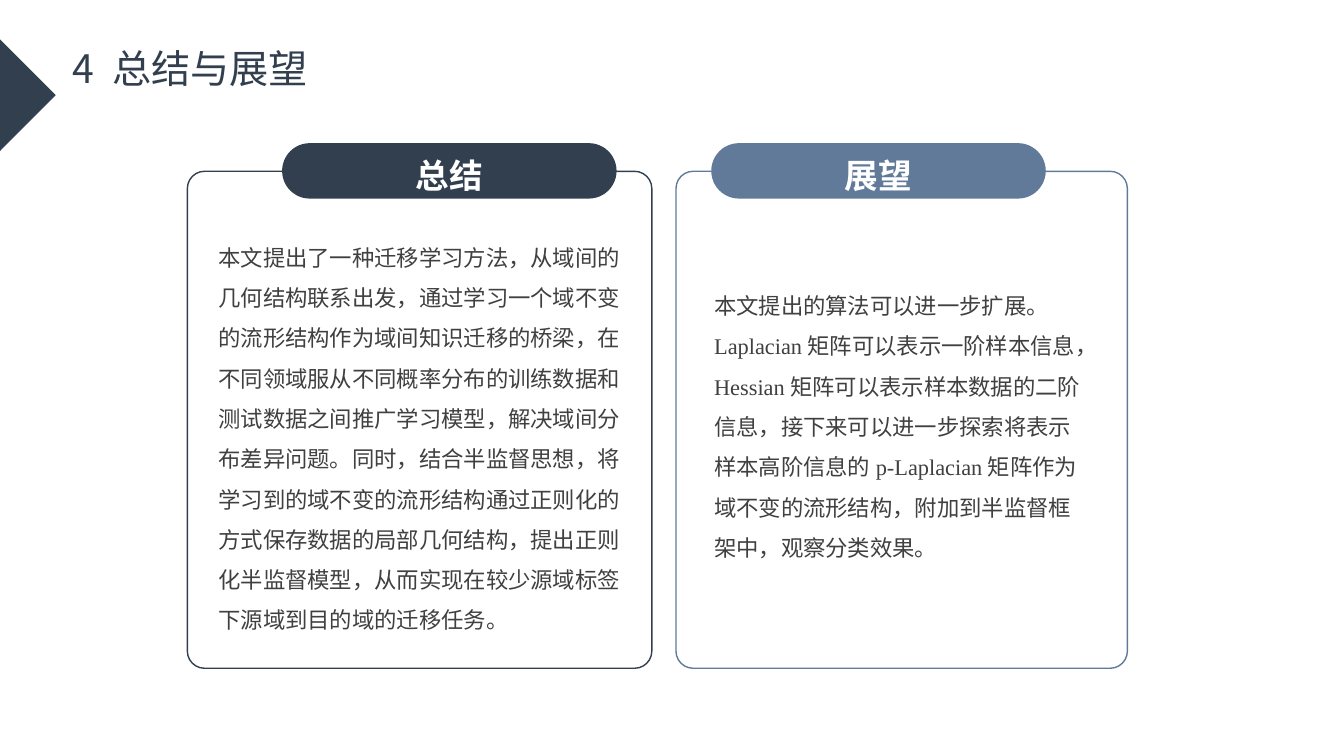
from lxml.etree import SubElement
from pptx import Presentation
from pptx.dml.color import RGBColor
from pptx.enum.shapes import MSO_SHAPE
from pptx.enum.text import MSO_ANCHOR, PP_ALIGN
from pptx.oxml.ns import qn
from pptx.util import Inches, Pt

NAVY = RGBColor(0x32, 0x3F, 0x4F)
STEEL = RGBColor(0x61, 0x7A, 0x99)
GREY = RGBColor(0x40, 0x40, 0x40)
WHITE = RGBColor(0xFF, 0xFF, 0xFF)
CJK_FONT = "Noto Sans CJK SC"

CARD_TOP, CARD_HEIGHT, CARD_RADIUS = 1.7, 4.93, 0.17
PILL_TOP, PILL_WIDTH, PILL_HEIGHT = 1.42, 3.32, 0.55

SUMMARY = (
    "本文提出了一种迁移学习方法，从域间的几何结构联系出发，通过学习一个域不变的流形结构"
    "作为域间知识迁移的桥梁，在不同领域服从不同概率分布的训练数据和测试数据之间推广学习模型，"
    "解决域间分布差异问题。同时，结合半监督思想，将学习到的域不变的流形结构通过正则化的方式"
    "保存数据的局部几何结构，提出正则化半监督模型，从而实现在较少源域标签下源域到目的域的迁移任务。"
)
OUTLOOK = (
    "本文提出的算法可以进一步扩展。Laplacian矩阵可以表示一阶样本信息，Hessian矩阵可以表示"
    "样本数据的二阶信息，接下来可以进一步探索将表示样本高阶信息的p-Laplacian矩阵作为域不变的"
    "流形结构，附加到半监督框架中，观察分类效果。"
)


def write_text(shape, text, font, size, color, bold=False, spacing=1.0,
               align=PP_ALIGN.LEFT, anchor=MSO_ANCHOR.MIDDLE):
    """Write one wrapped paragraph with Latin and East Asian fonts."""
    frame = shape.text_frame
    frame.word_wrap = True
    frame.vertical_anchor = anchor
    para = frame.paragraphs[0]
    para.alignment = align
    para.line_spacing = spacing
    span = para.add_run()
    span.text = text
    span.font.name = font
    span.font.size = Pt(size)
    span.font.bold = bold
    span.font.color.rgb = color
    SubElement(span.font._element, qn("a:ea"), typeface=CJK_FONT)


def add_text(page, left, top, width, height, text, font, size, color, **style):
    """Add a text box holding one paragraph."""
    box = page.shapes.add_textbox(
        Inches(left), Inches(top), Inches(width), Inches(height))
    write_text(box, text, font, size, color, **style)


def add_block(page, kind, left, top, width, height, fill=None, line=None):
    """Add a flat preset shape that is either filled or outlined."""
    block = page.shapes.add_shape(
        kind, Inches(left), Inches(top), Inches(width), Inches(height))
    block.shadow.inherit = False
    if fill is None:
        block.fill.background()
    else:
        block.fill.solid()
        block.fill.fore_color.rgb = fill
    if line is None:
        block.line.fill.background()
    else:
        block.line.color.rgb = line
        block.line.width = Pt(1)
    return block


def add_card(page, left, width, pill_left, color, heading):
    """Add an outlined card with a heading pill over its top edge."""
    card = add_block(page, MSO_SHAPE.ROUNDED_RECTANGLE, left, CARD_TOP,
                     width, CARD_HEIGHT, line=color)
    card.adjustments[0] = CARD_RADIUS / width
    pill = add_block(page, MSO_SHAPE.ROUNDED_RECTANGLE, pill_left, PILL_TOP,
                     PILL_WIDTH, PILL_HEIGHT, fill=color)
    pill.adjustments[0] = 0.5
    write_text(pill, heading, "Arial", 24, WHITE, bold=True, spacing=1.2,
               align=PP_ALIGN.CENTER)


def main():
    """Build the summary and outlook slide."""
    deck = Presentation()
    deck.slide_width, deck.slide_height = Inches(13.34), Inches(7.5)
    page = deck.slides.add_slide(deck.slide_layouts[6])

    add_text(page, 0.62, 0.39, 6.44, 0.57, "4 总结与展望", CJK_FONT, 28, NAVY,
             anchor=MSO_ANCHOR.TOP)
    marker = add_block(page, MSO_SHAPE.RECTANGLE, -0.4, 0.55, 0.79, 0.79, fill=NAVY)
    marker.rotation = 45

    add_card(page, 1.86, 4.61, 2.8, NAVY, "总结")
    add_text(page, 2.07, 2.06, 4.4, 4.45, SUMMARY, "Arial", 16, GREY, spacing=1.5)

    add_card(page, 6.71, 4.48, 7.06, STEEL, "展望")
    add_text(page, 6.99, 1.94, 3.92, 4.45, OUTLOOK, "Times New Roman", 16, GREY,
             spacing=1.5)

    deck.save("out.pptx")


if __name__ == "__main__":
    main()
